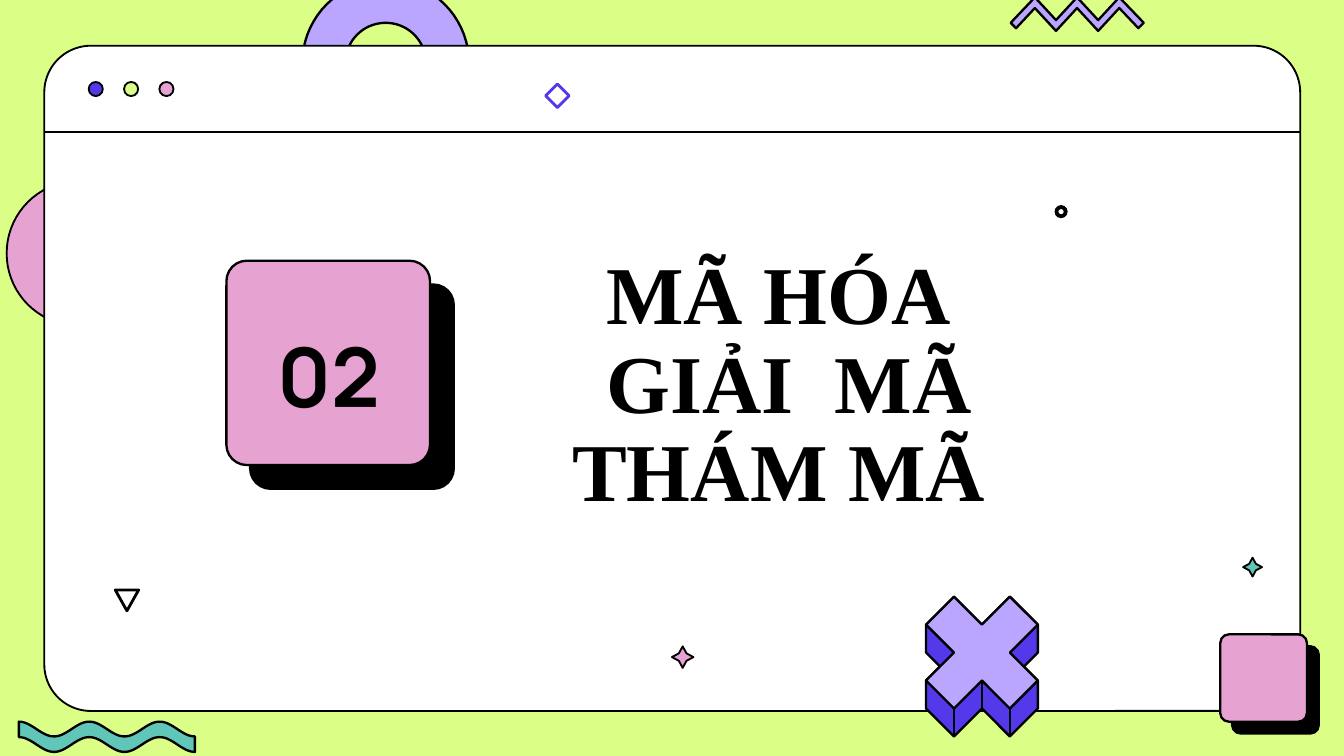
"""Build the section slide: a browser window with a number card, a title and bright ornaments."""
from math import cos, pi, radians, sin
from typing import NamedTuple, Optional

from lxml.etree import SubElement
from pptx import Presentation
from pptx.dml.color import RGBColor
from pptx.enum.shapes import MSO_CONNECTOR, MSO_SHAPE
from pptx.enum.text import MSO_ANCHOR, MSO_AUTO_SIZE, PP_ALIGN
from pptx.oxml.ns import qn
from pptx.util import Inches, Pt

BLACK = RGBColor(0x00, 0x00, 0x00)
WHITE = RGBColor(0xFF, 0xFF, 0xFF)
LIME = RGBColor(0xDB, 0xFE, 0x87)
PINK = RGBColor(0xE6, 0xA2, 0xD0)
LILAC = RGBColor(0xBA, 0xA5, 0xFF)
BLUE = RGBColor(0x53, 0x39, 0xEA)
TEAL = RGBColor(0x60, 0xC7, 0xB8)

WIDTH = Inches(10)
HEIGHT = WIDTH * 9 // 16
CELL = WIDTH / 100

Point = tuple[float, float]


class Item(NamedTuple):
    """A preset shape, with its place in grid cells."""
    kind: MSO_SHAPE
    col: float
    row: float
    wide: float
    high: float
    fill: Optional[RGBColor]
    line: RGBColor = BLACK
    weight: float = 1
    adjust: Optional[float] = None
    drop: float = 0


WINDOW = Item(MSO_SHAPE.ROUNDED_RECTANGLE, 3.3, 3.4, 93.45, 49.5, WHITE, adjust=0.07)
CARD = Item(MSO_SHAPE.ROUNDED_RECTANGLE, 16.85, 19.4, 15.15, 15.2, PINK,
            weight=1.25, adjust=0.1, drop=18)
DOTS = [Item(MSO_SHAPE.OVAL, 6.6 + 2.63 * i, 6.1, 1.05, 1.05, fill)
        for i, fill in enumerate((BLUE, LIME, PINK))]
SMALL = [
    Item(MSO_SHAPE.STAR_4_POINT, 50, 48.1, 1.6, 1.6, PINK, adjust=0.25),
    Item(MSO_SHAPE.STAR_4_POINT, 92.5, 41.5, 1.4, 1.4, TEAL, adjust=0.25),
    Item(MSO_SHAPE.FLOWCHART_MERGE, 8.58, 43.9, 1.74, 1.55, None, weight=1.5),
    Item(MSO_SHAPE.DIAMOND, 40.6, 6.25, 1.75, 1.75, None, BLUE, 1.5),
    Item(MSO_SHAPE.DONUT, 78.5, 15.3, 0.9, 0.9, BLACK, weight=0.5, adjust=0.24),
    Item(MSO_SHAPE.ROUNDED_RECTANGLE, 90.8, 47.2, 6.45, 6.5, PINK,
         weight=1.25, adjust=0.1, drop=9),
]


def arc(col: float, row: float, size: float, start: int, end: int) -> list[Point]:
    """Return points on a circle, clockwise from three o'clock in degrees."""
    steps = 36
    turns = [radians(start + (end - start) * i / steps) for i in range(steps + 1)]
    return [(col + size * cos(t), row + size * sin(t)) for t in turns]


def paint(shape, fill: Optional[RGBColor], line: RGBColor, weight: float) -> None:
    """Set fill and line, and clear the shadow."""
    shape.shadow.inherit = False
    if fill is None:
        shape.fill.background()
    else:
        shape.fill.solid()
        shape.fill.fore_color.rgb = fill
    shape.line.color.rgb = line
    shape.line.width = Pt(weight)


def place(shapes, item: Item) -> None:
    """Draw a preset shape."""
    box = [round(v * CELL) for v in (item.col, item.row, item.wide, item.high)]
    shape = shapes.add_shape(item.kind, *box)
    if item.adjust is not None:
        shape.adjustments[0] = item.adjust
    paint(shape, item.fill, item.line, item.weight)
    if item.drop:
        effects = shape._element.spPr.find(qn("a:effectLst"))
        shadow = SubElement(effects, qn("a:outerShdw"), dist=str(Pt(item.drop)),
                            dir="2700000", algn="bl", rotWithShape="0")
        SubElement(shadow, qn("a:srgbClr"), val=str(BLACK))


def trace(shapes, points: list[Point], fill: RGBColor, weight: float = 1.25) -> None:
    """Draw a closed outline through points in grid cells."""
    spots = [(round(x * CELL), round(y * CELL)) for x, y in points]
    pen = shapes.build_freeform(*spots[0])
    pen.add_line_segments(spots[1:], close=True)
    paint(pen.convert_to_shape(), fill, BLACK, weight)


def rule(shapes, start: Point, end: Point, weight: float = 1) -> None:
    """Draw a straight black line."""
    ends = [round(v * CELL) for v in (*start, *end)]
    line = shapes.add_connector(MSO_CONNECTOR.STRAIGHT, *ends)
    line.line.color.rgb = BLACK
    line.line.width = Pt(weight)
    SubElement(line._element.spPr, qn("a:effectLst"))


def write(shape, text: str, *, box: tuple, font: str, before: float = 0) -> None:
    """Place a text shape and fill it with centred bold text."""
    shape.left, shape.top, shape.width, shape.height = (round(v * CELL) for v in box)
    frame = shape.text_frame
    frame.word_wrap = True
    frame.auto_size = MSO_AUTO_SIZE.NONE
    frame.vertical_anchor = MSO_ANCHOR.MIDDLE
    para = frame.paragraphs[0]
    para.text = text
    para.alignment = PP_ALIGN.CENTER
    para.line_spacing = 0.9
    para.space_before = Pt(before)
    for run in para.runs:
        run.font.name = font
        run.font.size = Pt(44)
        run.font.bold = True
        run.font.color.rgb = BLACK


def cross(shapes) -> None:
    """Draw the solid cross on its own small grid."""
    step = 2.08

    def spot(x: float, y: float) -> Point:
        return 68.9 + step * x, 44.4 + step * y

    body = [(4, 1), (4, 2), (3.5, 2.5), (4, 3), (4, 4), (3, 5), (2, 4), (1, 5), (0, 4),
            (0, 3), (0.5, 2.5), (0, 2), (0, 1), (1, 0), (2, 1), (3, 0)]
    face = [(3, 0), (4, 1), (3, 2), (4, 3), (3, 4), (2, 3),
            (1, 4), (0, 3), (1, 2), (0, 1), (1, 0), (2, 1)]
    for points, fill in ((body, BLUE), (face, LILAC)):
        trace(shapes, [spot(*p) for p in points], fill)
    for x, y in ((1, 4), (2, 3), (3, 4)):
        rule(shapes, spot(x, y), spot(x, y + 1), 1.25)


def wave(shapes) -> None:
    """Draw the teal ribbon of five half waves."""
    half, steps = 2.62, 80
    top = [(1.4 + 5 * half * i / steps, 54.25 - 0.55 * cos(5 * pi * i / steps))
           for i in range(steps + 1)]
    base = [(x, y + 1.15) for x, y in reversed(top)]
    trace(shapes, top + base, TEAL)


def zigzag(shapes) -> None:
    """Draw the lilac zigzag at the top edge."""
    peaks = [(77 + 1.57 * i, -0.2 + 1.7 * (i % 2)) for i in range(5)]
    base = [(x, y + 0.8) for x, y in reversed(peaks)]
    trace(shapes, [(75.2, 1.7), *peaks, (85.1, 1.7), (84.7, 2.1), *base, (75.6, 2.1)], LILAC)


def main() -> None:
    """Build and save the deck."""
    deck = Presentation()
    deck.slide_width, deck.slide_height = WIDTH, HEIGHT
    slide = deck.slides.add_slide(deck.slide_layouts[5])
    slide.background.fill.solid()
    slide.background.fill.fore_color.rgb = LIME
    shapes = slide.shapes

    arch = (arc(28.7, 4.7, 6.2, 180, 360) + arc(33.3, 4.7, 1.6, 0, 180)
            + arc(28.7, 4.7, 3, 360, 180) + arc(24.1, 4.7, 1.6, 0, 180))
    trace(shapes, arch, LILAC)
    trace(shapes, arc(5.9, 18.85, 5.4, 90, 270), PINK, 1)
    place(shapes, WINDOW)
    rule(shapes, (3.3, 9.85), (96.7, 9.85))
    place(shapes, CARD)

    title = shapes.title
    shapes._spTree.append(title._element)
    write(title, "MÃ HÓA\v GIẢI  MÃ THÁM MÃ",
          box=(36.5, 18.9, 42.9, 19.7), font="Times New Roman")
    write(shapes.add_textbox(0, 0, 0, 0), "02",
          box=(16.9, 24.4, 15.1, 7.9), font="Manrope", before=7.5)

    for item in SMALL + DOTS:
        place(shapes, item)
    cross(shapes)
    wave(shapes)
    zigzag(shapes)
    deck.save("out.pptx")


if __name__ == "__main__":
    main()
